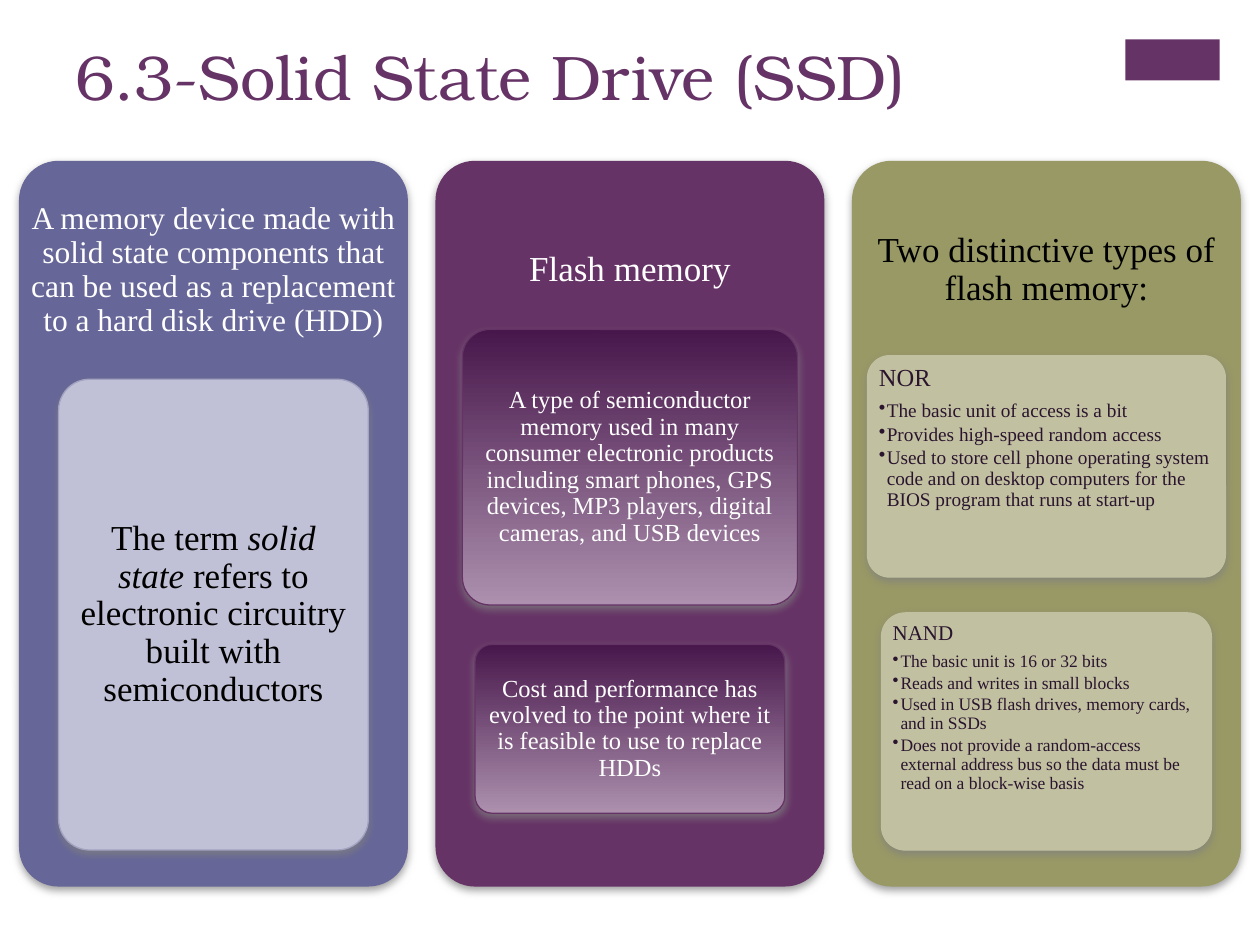
from dataclasses import dataclass

from lxml.etree import SubElement
from pptx import Presentation
from pptx.dml.color import RGBColor
from pptx.enum.shapes import MSO_SHAPE as Preset
from pptx.enum.text import MSO_ANCHOR as Anchor, PP_ALIGN as Align
from pptx.oxml.ns import qn
from pptx.util import Pt


@dataclass(frozen=True)
class Theme:
    title_font: str = "TeX Gyre Bonum"
    body_font: str = "Times New Roman"
    title_size: int = 36
    large: int = 20
    medium: int = 18
    small: int = 14
    blue: str = "666699"
    purple: str = "663366"
    olive: str = "999966"
    pale_blue: str = "C0C0D6"
    blue_edge: str = "A2A2C1"
    pale_olive: str = "C1C1A2"
    fade: tuple = ("47174B", "AC90AE")
    shadow: str = "808080"
    white: str = "FFFFFF"
    black: str = "000000"
    ink: str = "2B142D"


@dataclass(frozen=True)
class Box:
    left: float
    top: float
    width: float
    height: float

    def centred(self, top, width, height):
        return Box(self.left + (self.width - width) / 2, self.top + top, width, height)

    def points(self):
        return [Pt(round(side, 2)) for side in (self.left, self.top, self.width, self.height)]


THEME = Theme()
HEADING_HEIGHT = 124.5


def colour(code):
    return RGBColor.from_string(code)


def add_text(frame, text, *, size, ink, font=THEME.body_font, align=Align.CENTER,
             spacing=0.9, before=0, italic=""):
    first = frame.paragraphs[0]
    para = frame.add_paragraph() if first.runs else first
    para.alignment, para.line_spacing, para.space_before = align, spacing, Pt(before)
    start, found, end = text.partition(italic) if italic else (text, "", "")
    for piece in filter(None, (start, found, end)):
        span = para.add_run()
        span.text = piece
        span.font.name, span.font.size = font, Pt(size)
        span.font.color.rgb = colour(ink)
        span.font.italic = piece == found
    return para


def add_bullet(para, ink, left, indent):
    para.level = 1
    properties = para._p.get_or_add_pPr()
    properties.set("marL", str(Pt(left)))
    properties.set("indent", str(Pt(indent)))
    bullet_colour = SubElement(properties, qn("a:buClr"))
    SubElement(bullet_colour, qn("a:srgbClr"), val=ink)
    SubElement(properties, qn("a:buChar"), char="•")


def set_frame(frame, across, down, anchor=Anchor.MIDDLE):
    frame.word_wrap = True
    frame.vertical_anchor = anchor
    frame.margin_left = frame.margin_right = Pt(across)
    frame.margin_top = frame.margin_bottom = Pt(down)
    return frame


def add_shadow(shape):
    effects = SubElement(shape._element.spPr, qn("a:effectLst"))
    outer = SubElement(effects, qn("a:outerShdw"), blurRad=str(Pt(5)), dist=str(Pt(2)),
                       dir="5400000", rotWithShape="0")
    tint = SubElement(outer, qn("a:srgbClr"), val=THEME.shadow)
    SubElement(tint, qn("a:alpha"), val="75000")


def add_card(page, box, fill, edge):
    card = page.shapes.add_shape(Preset.ROUNDED_RECTANGLE, *box.points())
    card.adjustments[0] = 0.1
    if isinstance(fill, tuple):
        card.fill.gradient()
        card.fill.gradient_angle = 270
        for stop, code in zip(card.fill.gradient_stops, fill):
            stop.color.rgb = colour(code)
    else:
        card.fill.solid()
        card.fill.fore_color.rgb = colour(fill)
    card.line.color.rgb = colour(edge)
    card.line.width = Pt(0.75)
    add_shadow(card)
    return card


def add_panel(page, box, fill, heading, size, ink, margin):
    add_card(page, box, fill, fill)
    area = box.centred(0, box.width, HEADING_HEIGHT)
    frame = page.shapes.add_textbox(*area.points()).text_frame
    add_text(set_frame(frame, margin, margin), heading, size=size, ink=ink)


def add_title(page, box):
    frame = page.shapes.add_textbox(*box.points()).text_frame
    add_text(set_frame(frame, 7.2, 3.6, Anchor.TOP), "6.3-Solid State Drive (SSD)",
             size=THEME.title_size, ink=THEME.purple, font=THEME.title_font,
             align=Align.LEFT, spacing=1.0)


def add_marker(page, box):
    marker = page.shapes.add_shape(Preset.RECTANGLE, *box.points())
    marker.shadow.inherit = False
    marker.fill.solid()
    marker.fill.fore_color.rgb = colour(THEME.purple)
    marker.line.fill.background()


def add_definition(page, box):
    add_panel(page, box, THEME.blue,
              "A memory device made with solid state components that can be used "
              "as a replacement to a hard disk drive (HDD)", THEME.medium, THEME.white, 5)
    card = add_card(page, box.centred(124.5, 177, 269), THEME.pale_blue, THEME.blue_edge)
    add_text(set_frame(card.text_frame, 4, 3),
             "The term solid state refers to electronic circuitry built with semiconductors",
             size=THEME.large, ink=THEME.black, italic="solid state ")


def add_flash_memory(page, box):
    add_panel(page, box, THEME.purple, "Flash memory", THEME.large, THEME.white, 5.5)
    cards = (
        (96, 191.5, 157.5, "A type of semiconductor memory used in many consumer electronic "
         "products including smart phones, GPS devices, MP3 players, digital cameras, "
         "and USB devices"),
        (276, 177, 96.5, "Cost and performance has evolved to the point where it is "
         "feasible to use to replace HDDs"),
    )
    for top, width, height, text in cards:
        card = add_card(page, box.centred(top, width, height), THEME.fade, THEME.purple)
        add_text(set_frame(card.text_frame, 2.8, 2.1), text, size=THEME.small, ink=THEME.white)


def add_type_card(page, box, name, facts, *, size, fact_size, gaps, indent, margins):
    card = add_card(page, box, THEME.pale_olive, THEME.pale_olive)
    frame = set_frame(card.text_frame, *margins, Anchor.TOP)
    add_text(frame, name, size=size, ink=THEME.ink, align=Align.LEFT)
    for number, fact in enumerate(facts):
        para = add_text(frame, fact, size=fact_size, ink=THEME.ink, align=Align.LEFT,
                        before=gaps[min(number, 1)])
        add_bullet(para, THEME.ink, 4.5, indent)


def add_flash_types(page, box):
    add_panel(page, box, THEME.olive, "Two distinctive types of flash memory:",
              THEME.large, THEME.black, 5.5)
    add_type_card(page, box.centred(111, 204.5, 126.5), "NOR", (
        "The basic unit of access is a bit",
        "Provides high-speed random access",
        "Used to store cell phone operating system code and on desktop computers "
        "for the BIOS program that runs at start-up",
    ), size=14, fact_size=11, gaps=(4.9, 1.6), indent=-6, margins=(2.8, 2.1))
    add_type_card(page, box.centred(258, 188.5, 135.5), "NAND", (
        "The basic unit is 16 or 32 bits",
        "Reads and writes in small blocks",
        "Used in USB flash drives, memory cards, and in SSDs",
        "Does not provide a random-access external address bus so the data must be "
        "read on a block-wise basis",
    ), size=12, fact_size=10, gaps=(4.2, 1.5), indent=-5, margins=(2.4, 1.6))


def main():
    deck = Presentation()
    deck.slide_width, deck.slide_height = Pt(720), Pt(540)
    page = deck.slides.add_slide(deck.slide_layouts[6])
    add_marker(page, Box(643, 22.5, 54, 23.5))
    add_title(page, Box(36, 18, 595, 70))
    for column, add_column in enumerate((add_definition, add_flash_memory, add_flash_types)):
        add_column(page, Box(11.25 + 238 * column, 92.25, 221.5, 414))
    deck.save("out.pptx")


if __name__ == "__main__":
    main()
